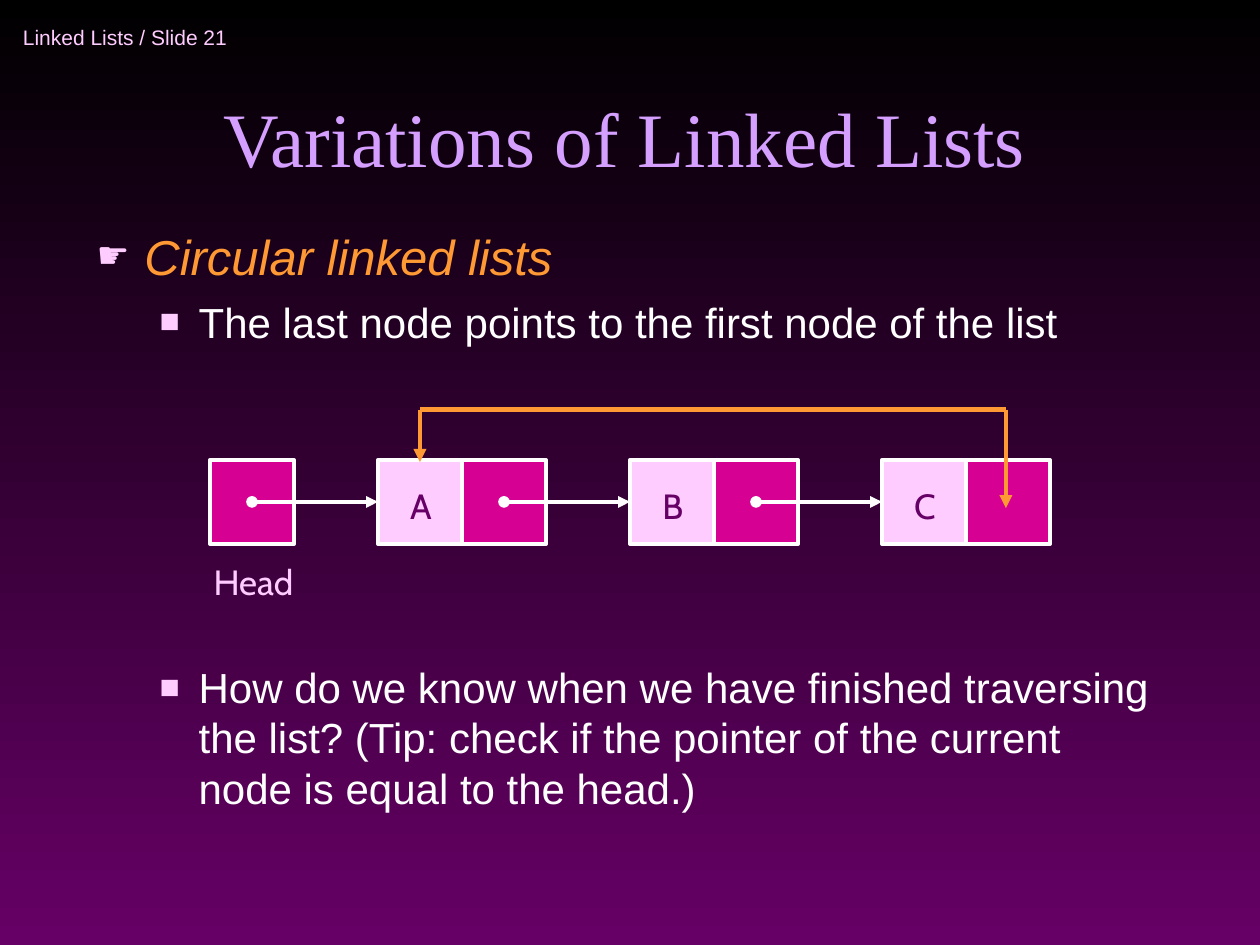
from dataclasses import dataclass

from lxml.etree import SubElement
from pptx import Presentation
from pptx.dml.color import RGBColor
from pptx.enum.shapes import MSO_CONNECTOR as CONN, MSO_SHAPE as SHAPE
from pptx.enum.text import MSO_ANCHOR as ANCHOR, MSO_AUTO_SIZE as FIT, PP_ALIGN as ALIGN
from pptx.oxml.ns import qn
from pptx.util import Inches, Pt


@dataclass(frozen=True)
class Theme:
    top: str = "000000"
    purple: str = "660066"
    title: str = "D49FFF"
    pale: str = "FFCCFF"
    pink: str = "D60093"
    orange: str = "FF9933"
    white: str = "FFFFFF"
    serif: str = "Times New Roman"
    sans: str = "Arial"
    label: str = "Cabin"
    title_size: float = 44
    head_size: float = 28
    body_size: float = 24
    label_size: float = 20
    small_size: float = 12
    leading: float = 1.2
    border: float = 2.25
    loop: float = 2.5


COLUMNS = 30
CELL = 2            # side of a list cell, in columns
NODE_ROW = 10.95
LOOP_ROW = 9.75
HEAD_COL = 5
NODES = {"A": 9, "B": 15, "C": 21}


def rgb(value):
    return RGBColor.from_string(value)


def write(p, text, *, size, font, color, italic=False, align=ALIGN.LEFT):
    p.alignment = align
    r = p.add_run()
    r.text = text
    f = r.font
    f.size, f.name, f.italic = Pt(size), font, italic
    f.color.rgb = rgb(color)


def set_bullet(p, char, *, margin, hang, percent, color):
    pPr = p._p.get_or_add_pPr()
    pPr.set("marL", str(Inches(margin)))
    pPr.set("indent", str(-Inches(hang)))
    SubElement(SubElement(pPr, qn("a:buClr")), qn("a:srgbClr"), val=color)
    SubElement(pPr, qn("a:buSzPct"), val=str(percent * 1000))
    SubElement(pPr, qn("a:buFont"), typeface="Arial")
    SubElement(pPr, qn("a:buChar"), char=char)


class SlideBuilder:
    """Draws on one slide; lengths are in square grid units, COLUMNS to the width."""

    def __init__(self, prs, theme):
        self.theme = theme
        self.unit = prs.slide_width / COLUMNS
        self.slide = prs.slides.add_slide(prs.slide_layouts[1])

    def grid(self, *lengths):
        return [round(n * self.unit) for n in lengths]

    def background(self):
        fill = self.slide.background.fill
        fill.gradient()
        fill.gradient_angle = 270
        for stop, color, at in zip(fill.gradient_stops,
                                   (self.theme.top, self.theme.purple), (0, 1)):
            stop.color.rgb, stop.position = rgb(color), at

    def placeholder(self, index, box, anchor):
        sp = self.slide.placeholders[index]
        sp.left, sp.top, sp.width, sp.height = self.grid(*box)
        tf = sp.text_frame
        tf.auto_size, tf.word_wrap, tf.vertical_anchor = FIT.NONE, True, anchor
        return tf

    def title(self, text, box):
        t = self.theme
        tf = self.placeholder(0, box, ANCHOR.BOTTOM)
        write(tf.paragraphs[0], text, size=t.title_size, font=t.serif,
              color=t.title, align=ALIGN.CENTER)

    def body(self, heading, points, box):
        """Fill the list; points are pairs of text and space before."""
        t = self.theme
        tf = self.placeholder(1, box, ANCHOR.TOP)
        p = tf.paragraphs[0]
        p.space_before, p.line_spacing = Pt(0), Pt(t.head_size * t.leading)
        set_bullet(p, "☛", margin=0.38, hang=0.38, percent=75, color=t.pale)
        write(p, heading, size=t.head_size, font=t.sans, color=t.orange, italic=True)
        for text, gap in points:
            p = tf.add_paragraph()
            p.level = 1
            p.space_before, p.line_spacing = Pt(gap), Pt(t.body_size * t.leading)
            set_bullet(p, "■", margin=0.81, hang=0.31, percent=80, color=t.pale)
            write(p, text, size=t.body_size, font=t.sans, color=t.white)

    def text(self, text, box, *, wrap=False, anchor=ANCHOR.TOP, **style):
        tf = self.slide.shapes.add_textbox(*self.grid(*box)).text_frame
        tf.word_wrap, tf.vertical_anchor = wrap, anchor
        write(tf.paragraphs[0], text, **style)

    def label(self, text, box, color):
        t = self.theme
        self.text(text, box, size=t.label_size, font=t.label, color=color,
                  align=ALIGN.CENTER)

    def cell(self, col, color):
        sp = self.slide.shapes.add_shape(SHAPE.RECTANGLE,
                                         *self.grid(col, NODE_ROW, CELL, CELL))
        sp.shadow.inherit = False
        sp.fill.solid()
        sp.fill.fore_color.rgb = rgb(color)
        sp.line.color.rgb = rgb(self.theme.white)
        sp.line.width = Pt(self.theme.border)

    def line(self, start, end, *, color, width, head=None, tail=None):
        cx = self.slide.shapes.add_connector(CONN.STRAIGHT, *self.grid(*start, *end))
        cx.line.color.rgb, cx.line.width = rgb(color), Pt(width)
        ln = cx.line._get_or_add_ln()
        for tag, kind in (("a:headEnd", head), ("a:tailEnd", tail)):
            if kind:
                SubElement(ln, qn(tag), type=kind)
        SubElement(cx._element.spPr, qn("a:effectLst"))

    def pointer(self, col, linked=True):
        """Draw a pointer cell and, if linked, its arrow to the next node."""
        t = self.theme
        self.cell(col, t.pink)
        if linked:
            y = NODE_ROW + CELL / 2
            self.line((col + 1, y), (col + 4, y), color=t.white, width=t.border,
                      head="oval", tail="triangle")

    def node(self, name, col, linked):
        self.cell(col, self.theme.pale)
        self.label(name, (col + 0.45, 11.4, 1.14, 1.32), self.theme.purple)
        self.pointer(col + CELL, linked)

    def loop(self, first, last):
        t = self.theme
        style = dict(color=t.orange, width=t.loop)
        self.line((last, LOOP_ROW), (last, 12.1), tail="triangle", **style)
        self.line((last, LOOP_ROW), (first, LOOP_ROW), **style)
        self.line((first, LOOP_ROW), (first, 11), tail="triangle", **style)


def main():
    prs = Presentation()
    prs.slide_width, prs.slide_height = Inches(10), Inches(7.5)
    t = Theme()
    s = SlideBuilder(prs, t)
    s.background()
    s.text("Linked Lists / Slide 21", (0.25, 0.25, 8.25, 1.25), wrap=True,
           anchor=ANCHOR.MIDDLE, size=t.small_size, font=t.sans, color=t.pale)
    s.title("Variations of Linked Lists", (2, 0.75, 25.75, 3.75))
    s.body("Circular linked lists", [
        ("The last node points to the first node of the list", 6),
        ("How do we know when we have finished traversing the list? "
         "(Tip: check if the pointer of the current node is equal to the head.)", 180),
    ], (2, 5.25, 25.75, 14.75))

    s.pointer(HEAD_COL)
    s.label("Head", (4.7, 13.2, 2.67, 1.32), t.pale)
    for name, col in NODES.items():
        s.node(name, col, linked=name != "C")
    s.loop(NODES["A"] + 1, NODES["C"] + CELL + 0.95)
    prs.save("out.pptx")


if __name__ == "__main__":
    main()
